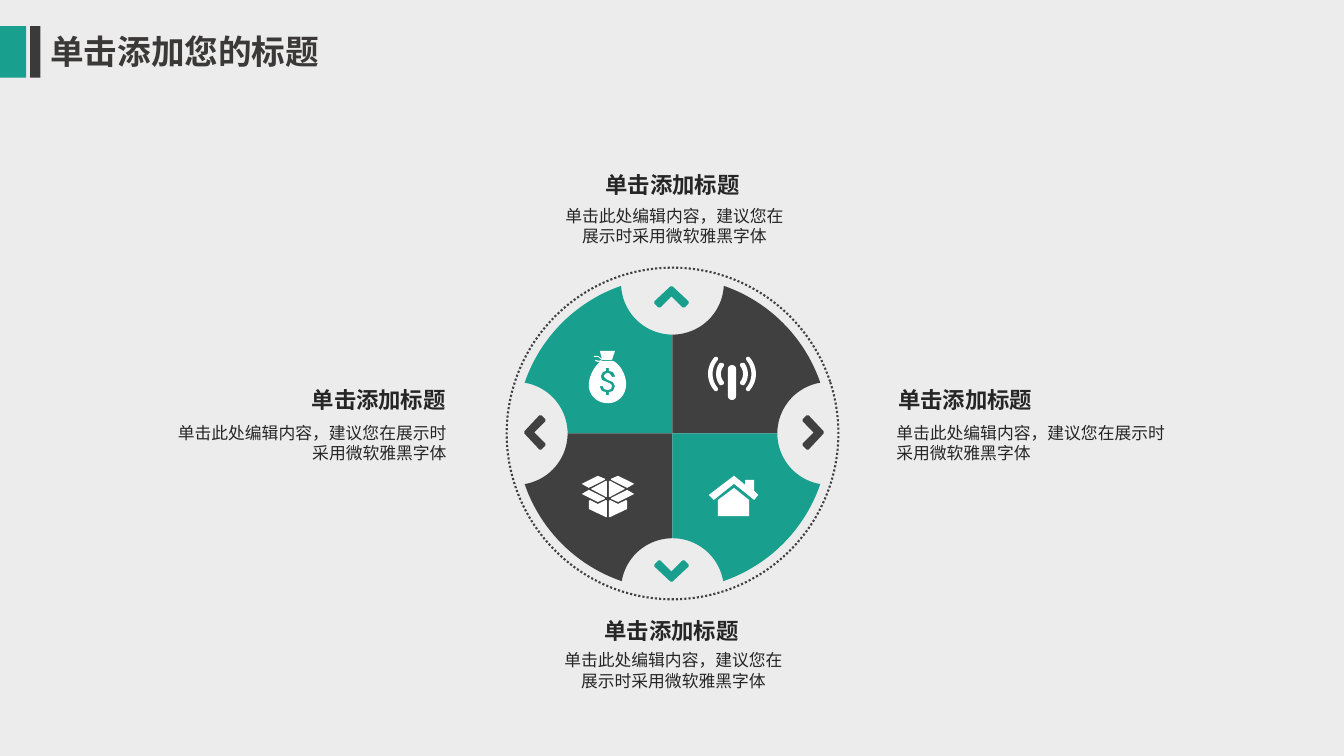
from math import acos, atan2, cos, pi, radians, sin

from lxml.etree import SubElement
from pptx import Presentation
from pptx.dml.color import RGBColor
from pptx.enum.dml import MSO_LINE
from pptx.enum.shapes import MSO_SHAPE as Preset
from pptx.enum.text import MSO_ANCHOR as Anchor, MSO_AUTO_SIZE as AutoSize, PP_ALIGN as Align
from pptx.oxml.ns import qn
from pptx.util import Inches, Pt

TEAL, DARK, WHITE, INK, HEADING = "199F8E", "404040", "FFFFFF", "262626", "3B3838"
HEAD_FONT, BODY_FONT = "Noto Sans CJK SC", "Arial"
CENTER_X, CENTER_Y = 6.67, 4.3
RADIUS, NOTCH_RADIUS = 1.55, 0.51


def paint(shape, color):
    shape.shadow.inherit = False
    shape.fill.solid()
    shape.fill.fore_color.rgb = RGBColor.from_string(color)
    shape.line.fill.background()


def add_outline(slide, left, top, contours, color):
    """Draw closed contours, in inches from (left, top), as one freeform."""
    placed = [[(Inches(left + x), Inches(top + y)) for x, y in contour] for contour in contours]
    builder = slide.shapes.build_freeform(*placed[0][0])
    for index, contour in enumerate(placed):
        if index:
            builder.move_to(*contour[0])
        builder.add_line_segments(contour[1:], close=True)
    paint(builder.convert_to_shape(), color)


def curve(*controls, steps=16):
    """Sample a cubic Bezier curve."""
    points = []
    for step in range(steps + 1):
        t = step / steps
        weights = ((1 - t) ** 3, 3 * t * (1 - t) ** 2, 3 * t * t * (1 - t), t ** 3)
        points.append(tuple(sum(w * p[axis] for w, p in zip(weights, controls)) for axis in (0, 1)))
    return points


def add_text(slide, left, top, width, height, words, size, font, color, align,
             bold=False, inset=True, grow=False):
    box = slide.shapes.add_textbox(Inches(left), Inches(top), Inches(width), Inches(height))
    frame = box.text_frame
    frame.text = words
    frame.word_wrap = True
    frame.auto_size = AutoSize.SHAPE_TO_FIT_TEXT if grow else AutoSize.NONE
    if not inset:
        frame.margin_left = frame.margin_right = frame.margin_top = frame.margin_bottom = 0
    paragraph = frame.paragraphs[0]
    paragraph.alignment = align
    run = paragraph.runs[0]
    run.font.size, run.font.bold, run.font.name = Pt(size), bold, font
    run.font.color.rgb = RGBColor.from_string(color)
    SubElement(run.font._element, qn("a:ea"), typeface=font)
    return frame


def add_header(slide, top):
    for left, width, color in ((0, 0.26, TEAL), (0.3, 0.1, "3A3A3A")):
        bar = slide.shapes.add_shape(Preset.RECTANGLE, Inches(left), Inches(top),
                                     Inches(width), Inches(0.51))
        paint(bar, color)
    add_text(slide, 0.4, top, 2.99, 0.5, "单击添加您的标题", 24, HEAD_FONT, HEADING,
             Align.JUSTIFY, bold=True, grow=True)


def notch(distance):
    """Bite from the axis to the rim, as (along, across) offsets."""
    along = (RADIUS ** 2 + distance ** 2 - NOTCH_RADIUS ** 2) / (2 * distance)
    sweep = acos((distance - along) / NOTCH_RADIUS)
    angles = [sweep * step / 20 for step in range(21)]
    return [(distance - NOTCH_RADIUS * cos(a), NOTCH_RADIUS * sin(a)) for a in angles]


def add_quadrant(slide, side_x, side_y, color):
    beside = notch(1.55)
    above = [(x, y) for y, x in reversed(notch(1.49 if side_y < 0 else 1.55))]
    start = atan2(beside[-1][1], beside[-1][0])
    end = atan2(above[0][1], above[0][0])
    rim = [(RADIUS * cos(a), RADIUS * sin(a))
           for a in (start + (end - start) * step / 24 for step in range(1, 24))]
    points = [(0, 0)] + beside + rim + above
    add_outline(slide, CENTER_X, CENTER_Y, [[(side_x * x, side_y * y) for x, y in points]], color)


def add_ring(slide, diameter):
    ring = slide.shapes.add_shape(Preset.ARC, Inches(CENTER_X - diameter / 2),
                                  Inches(CENTER_Y - diameter / 2),
                                  Inches(diameter), Inches(diameter))
    ring.adjustments[0], ring.adjustments[1] = 97.2, 97.11
    ring.rotation = 180
    ring.shadow.inherit = False
    ring.fill.background()
    ring.line.color.rgb = RGBColor.from_string(DARK)
    ring.line.width = Pt(1.5)
    ring.line.dash_style = MSO_LINE.ROUND_DOT


def add_chevron(slide, x, y, degrees, color):
    half = [(0.11, 0.01), (-0.04, 0.17), (-0.06, 0.17), (-0.1, 0.13), (-0.1, 0.11), (0.01, 0)]
    points = half + [(along, -across) for along, across in reversed(half[:-1])]
    turn = radians(degrees)
    add_outline(slide, x, y, [[(a * cos(turn) - b * sin(turn), a * sin(turn) + b * cos(turn))
                               for a, b in points]], color)


def add_money_bag(slide, left, top):
    tie = [(0.24, 0.1), (0.12, 0.1), (0.13, 0.09), (0.23, 0.09), (0.26, 0), (0.11, 0),
           (0.13, 0.08), (0.09, 0.05), (0.05, 0.05), (0.05, 0.06), (0.09, 0.06),
           (0.13, 0.09), (0.1, 0.1), (0.07, 0.09), (0.06, 0.1), (0.09, 0.11)]
    sack = (curve((0.11, 0.11), (0.05, 0.16), (0, 0.26), (0, 0.34))
            + curve((0, 0.34), (0, 0.44), (0.08, 0.52), (0.19, 0.52))
            + curve((0.19, 0.52), (0.29, 0.52), (0.37, 0.44), (0.37, 0.33))
            + curve((0.37, 0.33), (0.37, 0.25), (0.32, 0.14), (0.24, 0.1)))
    dollar = [(0.24, 0.4), (0.2, 0.41), (0.2, 0.44), (0.17, 0.44), (0.17, 0.41), (0.13, 0.4),
              (0.11, 0.36), (0.11, 0.35), (0.14, 0.35), (0.15, 0.38), (0.19, 0.39),
              (0.22, 0.38), (0.23, 0.35), (0.22, 0.33), (0.18, 0.31), (0.13, 0.29),
              (0.12, 0.25), (0.14, 0.21), (0.17, 0.2), (0.17, 0.17), (0.2, 0.17),
              (0.2, 0.2), (0.24, 0.21), (0.26, 0.25), (0.26, 0.26), (0.23, 0.26),
              (0.21, 0.23), (0.19, 0.22), (0.16, 0.23), (0.15, 0.25), (0.16, 0.27),
              (0.19, 0.29), (0.24, 0.31), (0.26, 0.35)]
    add_outline(slide, left, top, [dollar, tie + sack], WHITE)


def add_antenna(slide, x, y):
    mast = (curve((-0.04, -0.05), (-0.04, -0.1), (0.04, -0.1), (0.04, -0.05))
            + curve((0.04, 0.22), (0.04, 0.27), (-0.04, 0.27), (-0.04, 0.22)))
    far = (curve((0.14, 0.14), (0.21, 0.06), (0.21, -0.06), (0.14, -0.14))
           + [(0.14, -0.16), (0.15, -0.17)]
           + curve((0.17, -0.17), (0.26, -0.07), (0.26, 0.07), (0.17, 0.17))
           + [(0.15, 0.17), (0.14, 0.16)])
    near = (curve((0.08, 0.08), (0.12, 0.03), (0.12, -0.03), (0.08, -0.08))
            + [(0.08, -0.1), (0.1, -0.11)]
            + curve((0.12, -0.11), (0.17, -0.05), (0.17, 0.05), (0.12, 0.11))
            + [(0.1, 0.11), (0.08, 0.1)])
    waves = [[(side * a, b) for a, b in wave] for side in (-1, 1) for wave in (far, near)]
    add_outline(slide, x, y, [mast] + waves, WHITE)


def add_open_box(slide, x, top):
    """Draw four panels and their mirror images about x."""
    panels = [[(0.17, 0.13), (0.02, 0.05), (0.01, 0.05), (0.01, 0.21), (0.02, 0.21)],
              [(0.19, 0.14), (0.26, 0.18), (0.1, 0.26), (0.03, 0.23), (0.03, 0.22)],
              [(0.03, 0.03), (0.1, 0), (0.26, 0.08), (0.19, 0.12), (0.03, 0.04)],
              [(0.19, 0.25), (0.18, 0.24), (0.1, 0.28), (0.02, 0.24), (0.01, 0.25),
               (0.01, 0.41), (0.02, 0.41), (0.19, 0.33)]]
    add_outline(slide, x, top, [[(side * a, b) for a, b in panel]
                                for side in (-1, 1) for panel in panels], WHITE)


def add_house(slide, left, top):
    walls = [(0.09, 0.24), (0.09, 0.4), (0.4, 0.4), (0.4, 0.24), (0.25, 0.12)]
    roof = [(0.45, 0.15), (0.45, 0.04), (0.36, 0.04), (0.36, 0.09), (0.25, 0), (0, 0.19),
            (0.05, 0.24), (0.25, 0.08), (0.45, 0.24), (0.49, 0.19)]
    for part in (walls, roof):
        add_outline(slide, left, top, [part], WHITE)


def add_caption(slide, title_left, title_top, body_left, body_top, body_width, align):
    title = add_text(slide, title_left, title_top, 2.2, 0.29, "单击添加标题", 16,
                     HEAD_FONT, INK, align, bold=True)
    title.vertical_anchor = Anchor.MIDDLE
    add_text(slide, body_left, body_top, body_width, 0.4,
             "单击此处编辑内容，建议您在展示时采用微软雅黑字体", 12, BODY_FONT, INK, align,
             inset=False, grow=True)


def main():
    deck = Presentation()
    deck.slide_width, deck.slide_height = Inches(13.33), Inches(7.5)
    slide = deck.slides.add_slide(deck.slide_layouts[6])
    slide.background.fill.solid()
    slide.background.fill.fore_color.rgb = RGBColor.from_string("ECECEC")
    add_header(slide, 0.26)
    for side_x, side_y, color in ((-1, -1, TEAL), (-1, 1, DARK), (1, -1, DARK), (1, 1, TEAL)):
        add_quadrant(slide, side_x, side_y, color)
    add_ring(slide, 3.29)
    for x, y, degrees, color in ((8.06, 4.29, 0, DARK), (5.31, 4.29, 180, DARK),
                                 (6.66, 2.95, 270, TEAL), (6.66, 5.66, 90, TEAL)):
        add_chevron(slide, x, y, degrees, color)
    add_open_box(slide, 6.03, 4.72)
    add_money_bag(slide, 5.84, 3.48)
    add_antenna(slide, 7.26, 3.71)
    add_house(slide, 7.03, 4.72)
    add_caption(slide, 8.81, 3.82, 8.89, 4.19, 2.73, Align.LEFT)
    add_caption(slide, 2.32, 3.82, 1.69, 4.19, 2.74, Align.RIGHT)
    add_caption(slide, 5.57, 1.69, 5.57, 2.04, 2.24, Align.CENTER)
    add_caption(slide, 5.56, 6.11, 5.56, 6.45, 2.24, Align.CENTER)
    deck.save("out.pptx")


if __name__ == "__main__":
    main()
